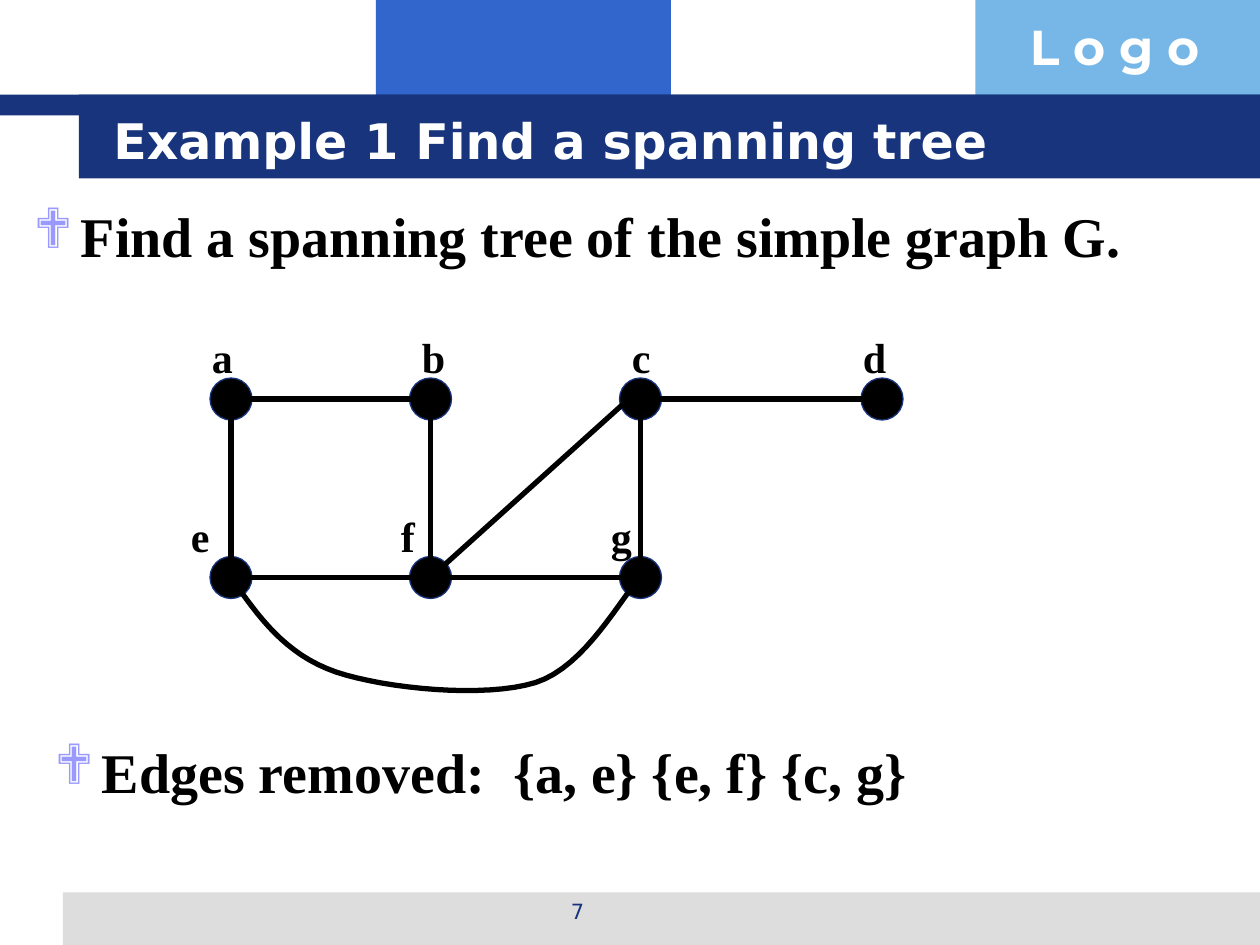
from lxml import etree
from pptx import Presentation
from pptx.dml.color import RGBColor
from pptx.enum import shapes as kinds, text as txt
from pptx.oxml import ns
from pptx.util import Pt

PX = 7620  # 120 px to the inch
HUES = {"navy": "17347D", "blue": "3366CC", "sky": "77B7E7", "grey": "DDDDDD",
        "mauve": "9999FF", "black": "000000", "white": "FFFFFF"}
HUE = {name: RGBColor.from_string(code) for name, code in HUES.items()}
SERIF, SANS = "Times New Roman", "DejaVu Sans"

deck = Presentation()
deck.slide_width, deck.slide_height = 1200 * PX, 900 * PX
slide = deck.slides.add_slide(deck.slide_layouts[3])
tree = slide.shapes
title, task, answer = slide.placeholders


def place(shape, left, top, width, height):
    shape.left, shape.top = left * PX, top * PX
    shape.width, shape.height = width * PX, height * PX


def write(shape, words, size, font, hue, bold=True, align=txt.PP_ALIGN.LEFT,
          anchor=txt.MSO_ANCHOR.TOP, bullet=None):
    frame = shape.text_frame
    frame.word_wrap = True
    frame.auto_size = txt.MSO_AUTO_SIZE.NONE
    frame.vertical_anchor = anchor
    para = frame.paragraphs[0]
    para.alignment, para.space_before = align, Pt(0)
    if bullet:
        props = para._p.get_or_add_pPr()
        props.set("marL", str(45 * PX))
        props.set("indent", str(-45 * PX))
        tint = etree.SubElement(props, ns.qn("a:buClr"))
        etree.SubElement(tint, ns.qn("a:srgbClr"), val=HUES["mauve"])
        etree.SubElement(props, ns.qn("a:buFont"), typeface="Wingdings")
        etree.SubElement(props, ns.qn("a:buChar"), char=bullet)
    run = para.add_run()
    run.text = words
    run.font.size, run.font.name, run.font.bold = Pt(size), font, bold
    run.font.color.rgb = HUE[hue]


# Header and footer bands
bands = [("blue", 358, 0, 281, 110), ("sky", 929, 0, 271, 110),
         ("grey", 60, 850, 1140, 50), ("navy", 0, 90, 1200, 20),
         ("navy", 75, 90, 1125, 80)]
for hue, *spot in bands:
    band = tree.add_shape(kinds.MSO_SHAPE.RECTANGLE, 0, 0, 0, 0)
    place(band, *spot)
    band.shadow.inherit = False
    band.fill.solid()
    band.fill.fore_color.rgb = HUE[hue]
    band.line.fill.background()

# Logo word and page number
logo = tree.add_textbox(0, 0, 0, 0)
place(logo, 969, 10, 231, 68)
write(logo, "L o g o", 28, "Montserrat", "white")
page = tree.add_textbox(0, 0, 0, 0)
place(page, 410, 850, 280, 42)
write(page, "7", 12, SANS, "navy", bold=False, align=txt.PP_ALIGN.CENTER)

# Title, brought in front of its band
place(title, 96, 96, 1024, 74)
write(title, "Example 1 Find a spanning tree", 28, SANS, "white",
      anchor=txt.MSO_ANCHOR.MIDDLE)
tree._spTree.append(title._element)

# Bulleted lines
place(task, 20, 186, 1080, 84)
write(task, "Find a spanning tree of the simple graph G.", 32, SERIF, "black", bullet="❖")
place(answer, 40, 696, 1080, 84)
write(answer, "Edges removed:  {a, e} {e, f} {c, g}", 32, SERIF, "black", bullet="❖")

# Graph nodes: centre, then left and top of the label
nodes = {"a": (220, 380, 190, 310), "b": (410, 380, 390, 310),
         "c": (610, 380, 590, 310), "d": (840, 380, 810, 310),
         "e": (220, 550, 170, 480), "f": (410, 550, 370, 480),
         "g": (610, 550, 570, 480)}
for name, (x, y, left, top) in nodes.items():
    dot = tree.add_shape(kinds.MSO_SHAPE.OVAL, 0, 0, 0, 0)
    place(dot, x - 20, y - 20, 40, 40)
    dot.shadow.inherit = False
    dot.fill.solid()
    dot.fill.fore_color.rgb = HUE["black"]
    dot.line.color.rgb = HUE["navy"]
    dot.line.width = Pt(0.75)
    label = tree.add_textbox(0, 0, 0, 0)
    place(label, left, top, 50, 60)
    write(label, name, 24, SERIF, "black")

# Straight edges
for start, end in ["ab", "cd", "ef", "fg", "bf", "cf", "cg", "ae"]:
    x1, y1 = nodes[start][:2]
    x2, y2 = nodes[end][:2]
    if start + end == "cf":
        y1 -= 10  # this edge meets c above its centre
    edge = tree.add_connector(kinds.MSO_CONNECTOR.STRAIGHT,
                              x1 * PX, y1 * PX, x2 * PX, y2 * PX)
    edge.line.color.rgb = HUE["black"]
    edge.line.width = Pt(3)
    etree.SubElement(edge._element.spPr, ns.qn("a:effectLst"))

# Curved edge from e to g, as three Bezier pieces
knots = [(220, 550), (246, 587), (271, 623), (320, 640), (368, 656),
         (462, 665), (510, 650), (558, 635), (593, 566), (610, 550)]
STEPS = 16
points = []
for first in range(0, 9, 3):
    piece = knots[first:first + 4]
    for step in range(1, STEPS + 1):
        t = step / STEPS
        parts = [(1 - t) ** 3, 3 * t * (1 - t) ** 2, 3 * t * t * (1 - t), t ** 3]
        points.append([round(PX * sum(w * p[axis] for w, p in zip(parts, piece)))
                       for axis in (0, 1)])
path = tree.build_freeform(220 * PX, 550 * PX)
path.add_line_segments(points, close=False)
curve = path.convert_to_shape()
curve.shadow.inherit = False
curve.fill.background()
curve.line.color.rgb = HUE["black"]
curve.line.width = Pt(3)

deck.save("out.pptx")
